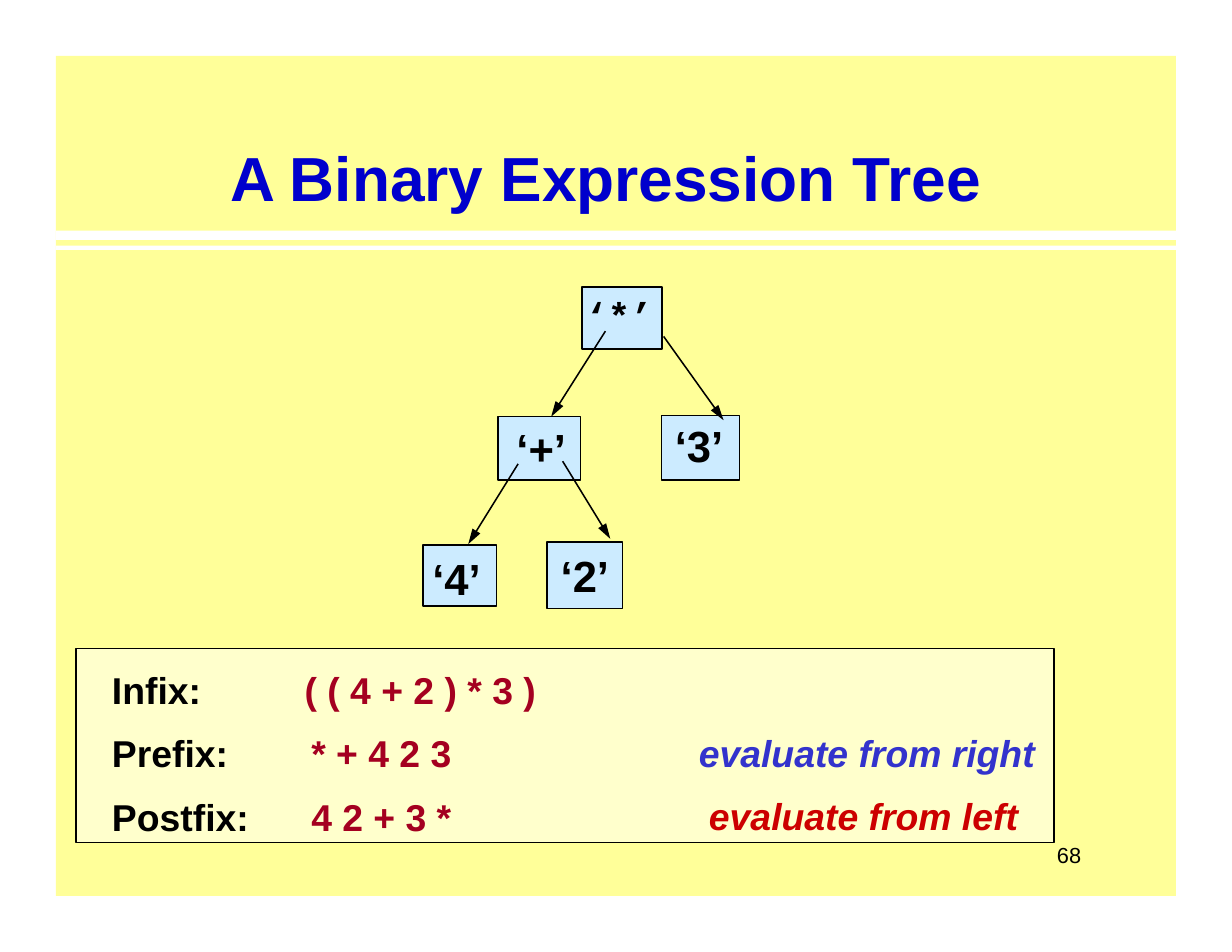
import pptx
import pptx.util
import pptx.dml.color
import pptx.enum.shapes
import pptx.enum.text
import pptx.oxml.ns
import lxml.etree

Cm, Pt = pptx.util.Cm, pptx.util.Pt
RGBColor = pptx.dml.color.RGBColor
SHAPE = pptx.enum.shapes.MSO_SHAPE
ALIGN = pptx.enum.text.PP_ALIGN
ANCHOR = pptx.enum.text.MSO_ANCHOR
qn = pptx.oxml.ns.qn

BLACK = RGBColor(0, 0, 0)
WHITE = RGBColor(0xFF, 0xFF, 0xFF)
YELLOW = RGBColor(0xFF, 0xFF, 0x99)
CREAM = RGBColor(0xFF, 0xFF, 0xCC)
SKY = RGBColor(0xCC, 0xEB, 0xFF)
BLUE = RGBColor(0, 0, 0xCC)
INDIGO = RGBColor(0x33, 0x33, 0xCC)
CRIMSON = RGBColor(0xA4, 0, 0x20)
RED = RGBColor(0xCC, 0, 0)

TITLE = "A Binary Expression Tree"
PAGE = "68"

PANELS = [
    (1.27, 1.27, 25.4, 19.05, YELLOW, None),
    (1.27, 5.23, 25.4, 0.21, WHITE, None),
    (1.27, 5.57, 25.4, 0.1, WHITE, None),
    (1.72, 14.71, 22.18, 4.4, CREAM, BLACK),
]

NODES = [
    ("‘*’", 13.2, 6.51, 1.82, 1.41, "Courier New", 24, (-0.07, -0.07)),
    ("‘+’", 11.3, 9.45, 1.87, 1.44, "Arial", 28, (0.04, 0)),
    ("‘3’", 15, 9.42, 1.77, 1.47, "Arial", 28, (-0.03, -0.07)),
    ("‘4’", 9.59, 12.36, 1.67, 1.38, "Arial", 28, (-0.07, 0.07)),
    ("‘2’", 12.41, 12.29, 1.71, 1.51, "Arial", 28, (0, 0)),
]

EDGES = [
    (13.73, 7.51, 12.5, 9.45),
    (15.05, 7.63, 16.41, 9.53),
    (11.75, 10.52, 10.62, 12.34),
    (12.76, 10.46, 13.84, 12.22),
]

ROW_TOP, ROW_PITCH = 15.13, 1.43
COLUMNS = [
    (2.54, 3.9, 0, False,
     [("Infix:", BLACK, 0), ("Prefix:", BLACK, 0), ("Postfix:", BLACK, 0)]),
    (6.91, 8, 0, False,
     [("( ( 4 + 2 ) * 3 )", CRIMSON, 0), ("* + 4 2 3", CRIMSON, 0.15),
      ("4 2 + 3 *", CRIMSON, 0.15)]),
    (15.85, 8, 1, True,
     [("evaluate from right", INDIGO, 0), ("evaluate from left", RED, 0.23)]),
]


def write(tf, lines, size, font="Arial", bold=True, italic=False,
          align=ALIGN.LEFT, anchor=ANCHOR.TOP, gap=0, shift=(0, 0)):
    dx, dy = shift
    tf.word_wrap = True
    tf.auto_size = pptx.enum.text.MSO_AUTO_SIZE.NONE
    tf.vertical_anchor = anchor
    tf.margin_left, tf.margin_right = Cm(max(0, 2 * dx)), Cm(max(0, -2 * dx))
    tf.margin_top, tf.margin_bottom = Cm(max(0, 2 * dy)), Cm(max(0, -2 * dy))
    for i, (text, color, indent) in enumerate(lines):
        p = tf.add_paragraph() if i else tf.paragraphs[0]
        p.alignment = align
        p.space_before = Pt(gap if i else 0)
        if indent:
            p._p.get_or_add_pPr().set("marL", str(Cm(indent)))
        r = p.add_run()
        r.text = text
        r.font.name, r.font.size = font, Pt(size)
        r.font.bold, r.font.italic = bold, italic
        r.font.color.rgb = color


def add_box(s, x, y, w, h, fill, line):
    sp = s.shapes.add_shape(SHAPE.RECTANGLE, Cm(x), Cm(y), Cm(w), Cm(h))
    sp.shadow.inherit = False
    sp.fill.solid()
    sp.fill.fore_color.rgb = fill
    if line is None:
        sp.line.fill.background()
    else:
        sp.line.color.rgb = line
        sp.line.width = Pt(1)
    return sp


def add_arrow(s, x1, y1, x2, y2):
    sp = s.shapes.add_connector(pptx.enum.shapes.MSO_CONNECTOR.STRAIGHT,
                                Cm(x1), Cm(y1), Cm(x2), Cm(y2))
    sp.line.color.rgb = BLACK
    sp.line.width = Pt(1)
    lxml.etree.SubElement(sp.line._get_or_add_ln(), qn("a:tailEnd"),
                          type="triangle", w="med", len="lg")
    lxml.etree.SubElement(sp._element.spPr, qn("a:effectLst"))


def add_text(s, x, y, w, h, lines, size, **fmt):
    sp = s.shapes.add_textbox(Cm(x), Cm(y), Cm(w), Cm(h))
    write(sp.text_frame, lines, size, **fmt)


def main():
    prs = pptx.Presentation()
    prs.slide_width, prs.slide_height = Cm(27.94), Cm(21.59)
    s = prs.slides.add_slide(prs.slide_layouts[5])

    for panel in PANELS:
        add_box(s, *panel)

    sp = s.shapes.title
    sp.left, sp.top, sp.width, sp.height = Cm(5.22), Cm(3.15), Cm(17.3), Cm(1.78)
    write(sp.text_frame, [(TITLE, BLUE, 0)], 40)
    s.shapes._spTree.append(sp._element)

    for text, x, y, w, h, font, size, shift in NODES:
        sp = add_box(s, x, y, w, h, SKY, BLACK)
        write(sp.text_frame, [(text, BLACK, 0)], size, font=font,
              align=ALIGN.CENTER, anchor=ANCHOR.MIDDLE, shift=shift)
    for edge in EDGES:
        add_arrow(s, *edge)

    for x, w, first_row, italic, lines in COLUMNS:
        add_text(s, x, ROW_TOP + first_row * ROW_PITCH, w,
                 len(lines) * ROW_PITCH, lines, 24, italic=italic, gap=12)
    add_text(s, 23.97, 19.08, 0.9, 0.6, [(PAGE, BLACK, 0)], 14, bold=False)

    prs.save("out.pptx")


if __name__ == "__main__":
    main()
